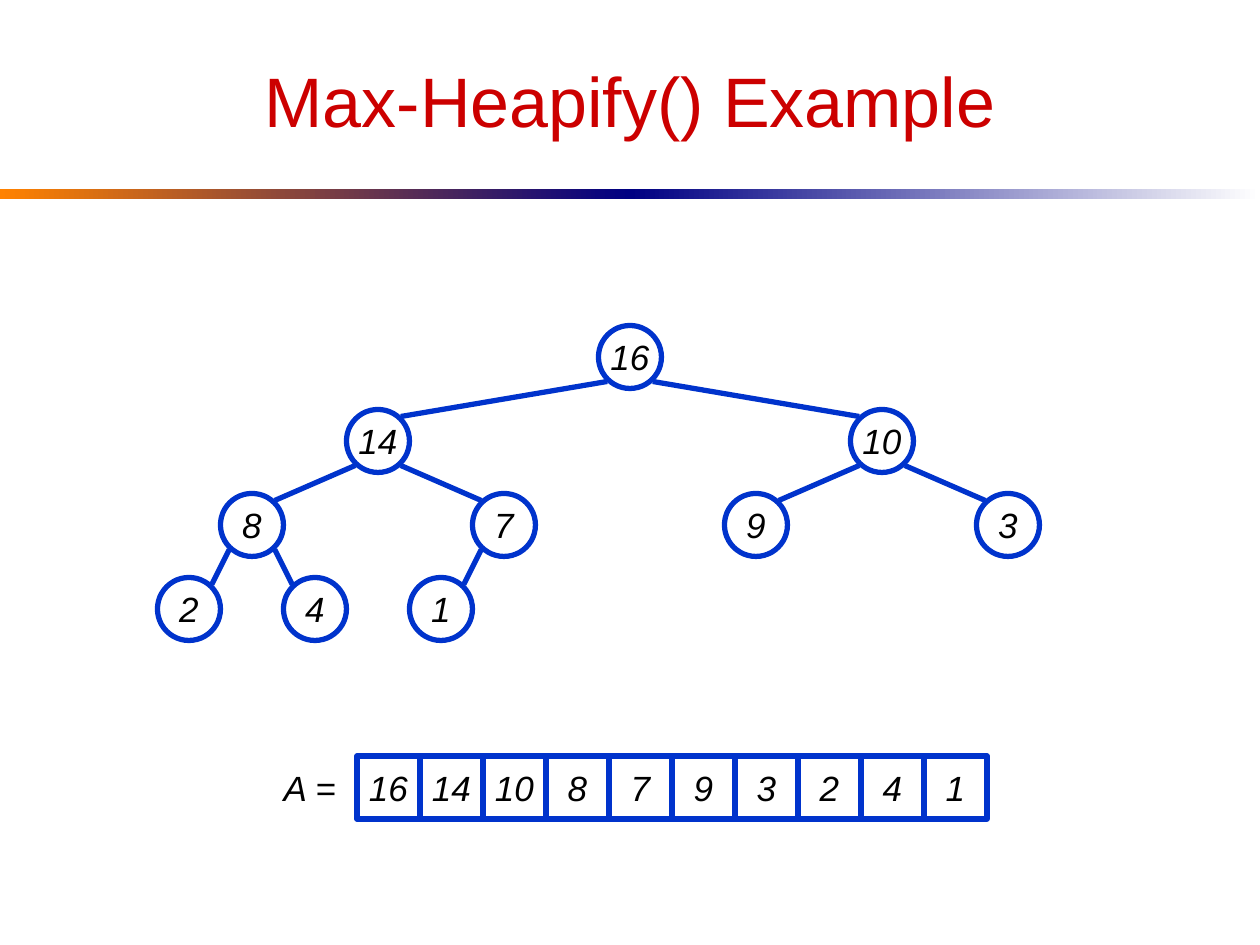
"""Build the Max-Heapify() example slide: a heap drawn as a tree and as an array."""
from dataclasses import dataclass

from lxml.etree import SubElement
from pptx import Presentation
from pptx.dml.color import RGBColor
from pptx.enum.shapes import MSO_CONNECTOR as Connector, MSO_SHAPE as Shape
from pptx.enum.text import MSO_ANCHOR as Anchor, PP_ALIGN as Align
from pptx.oxml.ns import qn
from pptx.util import Pt

TITLE = "Max-Heapify() Example"
ARRAY_LABEL = "A ="
HEAP = [16, 14, 10, 8, 7, 9, 3, 2, 4, 1]


@dataclass(frozen=True)
class Theme:
    font: str = "Arial"
    title_size: int = 40
    value_size: int = 20
    line_width: int = 3
    title: RGBColor = RGBColor(0xCC, 0x00, 0x00)
    outline: RGBColor = RGBColor(0x00, 0x33, 0xCC)
    ink: RGBColor = RGBColor(0x00, 0x00, 0x00)
    paper: RGBColor = RGBColor(0xFF, 0xFF, 0xFF)
    orange: RGBColor = RGBColor(0xFF, 0x82, 0x00)
    navy: RGBColor = RGBColor(0x00, 0x00, 0x82)


THEME = Theme()
SLIDE_WIDTH, SLIDE_HEIGHT = 720, 540
CELL = 36
ROOT_X, ROOT_Y, LEVEL_GAP = SLIDE_WIDTH / 2, 204, 48
EDGE_DX, EDGE_DY = 13, 14
ARRAY_LEFT, ARRAY_TOP, LABEL_WIDTH = 204, 432, 54
BAND_TOP, BAND_HEIGHT = 108, 6


def box(left, top, width, height):
    return Pt(left), Pt(top), Pt(width), Pt(height)


def write(frame, text, size, color, italic=False, wrap=False):
    frame.word_wrap = wrap
    frame.vertical_anchor = Anchor.MIDDLE
    paragraph = frame.paragraphs[0]
    paragraph.text = text
    paragraph.alignment = Align.CENTER
    font = paragraph.font
    font.name, font.size, font.italic = THEME.font, Pt(size), italic
    font.color.rgb = color


def write_value(frame, text):
    write(frame, text, THEME.value_size, THEME.ink, italic=True)


def add_band(slide, left, start, end):
    band = slide.shapes.add_shape(
        Shape.RECTANGLE, *box(left, BAND_TOP, SLIDE_WIDTH / 2, BAND_HEIGHT))
    band.shadow.inherit = False
    band.line.fill.background()
    band.fill.gradient()
    band.fill.gradient_angle = 0
    for stop, color in zip(band.fill.gradient_stops, (start, end)):
        stop.color.rgb = color


def add_cell(slide, kind, left, top, value):
    cell = slide.shapes.add_shape(kind, *box(left, top, CELL, CELL))
    cell.shadow.inherit = False
    cell.fill.solid()
    cell.fill.fore_color.rgb = THEME.paper
    cell.line.color.rgb = THEME.outline
    cell.line.width = Pt(THEME.line_width)
    write_value(cell.text_frame, str(value))


def add_edge(slide, parent, child):
    (px, py), (cx, cy) = parent, child
    dx = EDGE_DX if cx > px else -EDGE_DX
    edge = slide.shapes.add_connector(
        Connector.STRAIGHT, Pt(px + dx), Pt(py + EDGE_DY), Pt(cx - dx), Pt(cy - EDGE_DY))
    edge.line.color.rgb = THEME.outline
    edge.line.width = Pt(THEME.line_width)
    SubElement(edge._element.spPr, qn("a:effectLst"))


def node_center(index):
    level = (index + 1).bit_length() - 1
    slot = index + 1 - 2 ** level
    x = ROOT_X + (2 * slot + 1 - 2 ** level) * 2 * 144 / 2 ** level
    return x, ROOT_Y + level * LEVEL_GAP


def add_tree(slide):
    centers = [node_center(index) for index in range(len(HEAP))]
    for (x, y), value in zip(centers, HEAP):
        add_cell(slide, Shape.OVAL, x - CELL / 2, y - CELL / 2, value)
    for index, child in enumerate(centers[1:], 1):
        add_edge(slide, centers[(index - 1) // 2], child)


def add_array(slide):
    for index, value in enumerate(HEAP):
        add_cell(slide, Shape.RECTANGLE, ARRAY_LEFT + index * CELL, ARRAY_TOP, value)
    label = slide.shapes.add_textbox(
        *box(ARRAY_LEFT - LABEL_WIDTH, ARRAY_TOP, LABEL_WIDTH, CELL))
    write_value(label.text_frame, ARRAY_LABEL)


def main():
    deck = Presentation()
    deck.slide_width, deck.slide_height = Pt(SLIDE_WIDTH), Pt(SLIDE_HEIGHT)
    slide = deck.slides.add_slide(deck.slide_layouts[5])
    add_band(slide, 0, THEME.orange, THEME.navy)
    add_band(slide, SLIDE_WIDTH / 2, THEME.navy, THEME.paper)
    title = slide.shapes.title
    title.left, title.top, title.width, title.height = box(36, 18, 648, 78)
    write(title.text_frame, TITLE, THEME.title_size, THEME.title, wrap=True)
    add_tree(slide)
    add_array(slide)
    deck.save("out.pptx")


if __name__ == "__main__":
    main()
